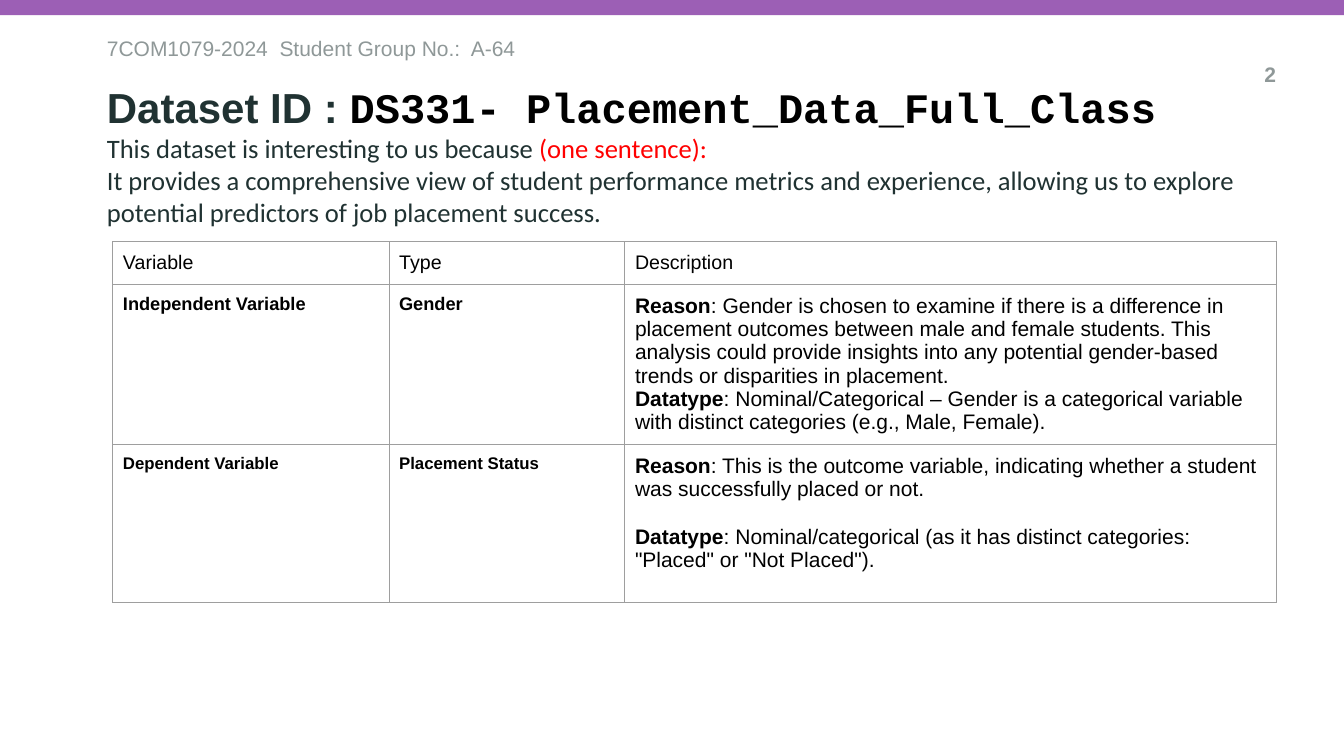
from lxml import etree
from pptx import Presentation
from pptx.dml.color import RGBColor
from pptx.enum.shapes import MSO_SHAPE
from pptx.enum.text import MSO_ANCHOR, MSO_AUTO_SIZE, PP_ALIGN
from pptx.oxml.ns import qn
from pptx.util import Inches, Pt

RECTANGLE = MSO_SHAPE.RECTANGLE
TOP, MIDDLE = MSO_ANCHOR.TOP, MSO_ANCHOR.MIDDLE
LEFT, RIGHT = PP_ALIGN.LEFT, PP_ALIGN.RIGHT
NO_AUTOFIT = MSO_AUTO_SIZE.NONE

PURPLE = RGBColor(0x9C, 0x5F, 0xB5)
INK = RGBColor(0x20, 0x32, 0x32)
GREY = RGBColor(0x8F, 0x98, 0x98)
BORDER = RGBColor(0x9E, 0x9E, 0x9E)
RED = RGBColor(0xFF, 0x00, 0x00)
BLACK = RGBColor(0x00, 0x00, 0x00)


class Page:
    """One slide on a grid of 100 columns by 100 rows."""

    body_font = "Arial"
    cell_margin = Inches(0.1)
    border_width = Pt(0.75)

    def __init__(self, deck, layout):
        self.slide = deck.slides.add_slide(layout)
        self.column = deck.slide_width / 100
        self.row = deck.slide_height / 100

    def across(self, columns):
        return round(columns * self.column)

    def down(self, rows):
        return round(rows * self.row)

    def box(self, left, top, width, height):
        return self.across(left), self.down(top), self.across(width), self.down(height)

    def style(self, font, size, color, bold=False, name=None):
        font.name = name or self.body_font
        font.size = Pt(size)
        font.bold = bold
        font.color.rgb = color

    def add_parts(self, paragraph, parts, size, color, bold=False, name=None, align=LEFT):
        """Each part is a text with the font settings that it changes."""
        base = {"size": size, "color": color, "bold": bold, "name": name}
        paragraph.alignment = align
        paragraph.space_before = Pt(0)
        self.style(paragraph.font, **base)
        for text, changes in parts:
            run = paragraph.add_run()
            run.text = text
            if changes:
                self.style(run.font, **{**base, **changes})

    def paragraphs(self, frame, lines, **style):
        for index, parts in enumerate(lines):
            paragraph = frame.add_paragraph() if index else frame.paragraphs[0]
            self.add_parts(paragraph, parts, **style)

    def fill_frame(self, frame, lines, anchor=TOP, **style):
        frame.word_wrap = True
        frame.auto_size = NO_AUTOFIT
        frame.vertical_anchor = anchor
        frame.margin_left = frame.margin_right = 0
        frame.margin_top = frame.margin_bottom = 0
        self.paragraphs(frame, lines, **style)

    def bar(self, area, color):
        band = self.slide.shapes.add_shape(RECTANGLE, *self.box(*area))
        band.shadow.inherit = False
        band.fill.solid()
        band.fill.fore_color.rgb = color
        band.line.fill.background()

    def placeholder(self, index, area, lines, **style):
        holder = self.slide.placeholders[index]
        holder.left, holder.top, holder.width, holder.height = self.box(*area)
        self.fill_frame(holder.text_frame, lines, **style)
        return holder.text_frame

    def label(self, area, text, **style):
        note = self.slide.shapes.add_textbox(*self.box(*area))
        self.fill_frame(note.text_frame, [[(text, {})]], **style)

    def outline(self, cell):
        properties = cell._tc.get_or_add_tcPr()
        for side in ("a:lnL", "a:lnR", "a:lnT", "a:lnB"):
            line = etree.SubElement(properties, qn(side), w=str(self.border_width))
            paint = etree.SubElement(line, qn("a:solidFill"))
            etree.SubElement(paint, qn("a:srgbClr"), val=str(BORDER))

    def table(self, left, top, columns, rows, content):
        area = self.box(left, top, sum(columns), sum(rows))
        table = self.slide.shapes.add_table(len(rows), len(columns), *area).table
        table.first_row = table.horz_banding = False
        for column, width in zip(table.columns, columns):
            column.width = self.across(width)
        for row, height, (sizes, bold, texts) in zip(table.rows, rows, content):
            row.height = self.down(height)
            for cell, size, lines in zip(row.cells, sizes, texts):
                self.outline(cell)
                cell.fill.background()
                cell.margin_left = cell.margin_right = self.cell_margin
                cell.margin_top = cell.margin_bottom = self.cell_margin
                weight = bold and len(lines) == 1
                self.paragraphs(cell.text_frame, lines, size=size, color=BLACK, bold=weight)
        return table


def plain(*texts):
    return [[[(text, {})]] for text in texts]


def explained(reason, datatype):
    strong = {"bold": True}
    return [[("Reason", strong), (f": {reason}", {})],
            [("Datatype", strong), (f": {datatype}", {})]]


def main():
    deck = Presentation()
    deck.slide_width, deck.slide_height = Inches(13.33), Inches(7.5)
    page = Page(deck, deck.slide_layouts[0])
    margin = 7.95

    # Top band, course line and page number
    page.bar((0, 0, 100, 2), PURPLE)
    page.label((margin, 4.67, 74.85, 3.33), "7COM1079-2024  Student Group No.:  A-64",
               size=15, color=GREY)
    page.label((89.85, 8.13, 5.1, 3.33), "2", size=15, color=GREY, bold=True, align=RIGHT)

    # Dataset heading
    heading = page.placeholder(
        0, (margin, 12, 82.95, 5.6),
        [[("Dataset ID : ", {}),
          ("DS331- Placement_Data_Full_Class", {"name": "Courier New", "color": BLACK})]],
        anchor=MIDDLE, size=30, color=INK, bold=True)
    heading.paragraphs[0].line_spacing = 0.8

    # Why the dataset is interesting
    page.placeholder(
        1, (margin, 17.47, 90, 43.33),
        [[("This dataset is interesting to us because ", {}),
          ("(one sentence):", {"color": RED})],
         [("It provides a comprehensive view of student performance metrics and experience, "
           "allowing us to explore potential predictors of job placement success.", {})]],
        size=19, color=INK, name="Calibri")

    # Variables: font sizes, bold labels and cell texts of each row
    gender = explained(
        "Gender is chosen to examine if there is a difference in placement outcomes between "
        "male and female students. This analysis could provide insights into any potential "
        "gender-based trends or disparities in placement.",
        "Nominal/Categorical – Gender is a categorical variable with distinct categories "
        "(e.g., Male, Female).")
    placement = explained(
        "This is the outcome variable, indicating whether a student was successfully placed "
        "or not.",
        'Nominal/categorical (as it has distinct categories: "Placed" or "Not Placed").')
    variables = page.table(
        8.4, 32, (20.55, 17.55, 48.45), (5.6, 21.2, 20.93),
        [((14, 14, 14), False, plain("Variable", "Type", "Description")),
         ((13, 13, 15), True, plain("Independent Variable", "Gender") + [gender]),
         ((12, 12, 15), True, plain("Dependent Variable", "Placement Status") + [placement])])
    variables.cell(2, 2).text_frame.paragraphs[1].space_before = Pt(17)

    deck.save("out.pptx")


if __name__ == "__main__":
    main()
